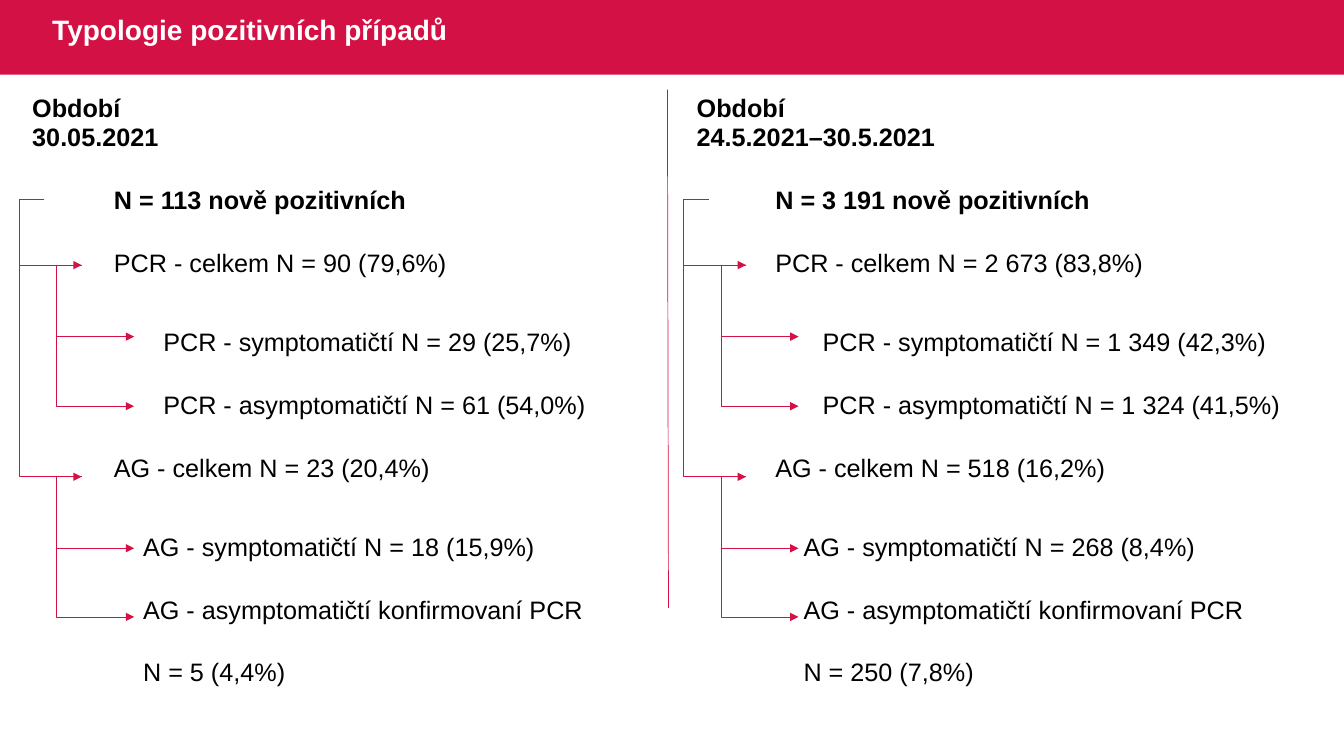
from lxml import etree
from pptx import Presentation
from pptx.dml.color import RGBColor
from pptx.enum.shapes import MSO_CONNECTOR, MSO_SHAPE
from pptx.enum.text import MSO_ANCHOR
from pptx.oxml.ns import qn
from pptx.util import Inches, Pt

STRAIGHT, ELBOW = MSO_CONNECTOR.STRAIGHT, MSO_CONNECTOR.ELBOW
RECTANGLE = MSO_SHAPE.RECTANGLE
TOP, MIDDLE, BOTTOM = MSO_ANCHOR.TOP, MSO_ANCHOR.MIDDLE, MSO_ANCHOR.BOTTOM

COLORS = {"crimson": "D31145", "text": "000000", "title": "FFFFFF"}
FONT = "Arial"
PLAIN_TABLE_STYLE = "{2D5ABB26-0587-4C30-8999-92F81FD0307C}"
TABLE_TOP, ROW_HEIGHT = 0.6, 0.622

# Column of the text, vertical anchor and bold for each table row
ROW_LAYOUT = [
    (0, BOTTOM, True), (0, TOP, True), (1, TOP, True), (1, TOP, False),
    (3, MIDDLE, False), (3, MIDDLE, False), (1, MIDDLE, False),
    (2, BOTTOM, False), (2, BOTTOM, False), (2, BOTTOM, False),
]

TOTAL_Y, PCR_Y, AG_Y = 1.98, 2.63, 4.73
TOTAL_X, GROUP_X, DETAIL_X = 0.25, 0.62, 1.14
TRUNK_X, BRANCH_X = 0, 0.37

# Start, end and vertical run of each arrow, measured from the trunk
ARROWS = [
    (TOTAL_X, TOTAL_Y, GROUP_X, AG_Y, TRUNK_X),
    (GROUP_X, PCR_Y, DETAIL_X, 3.34, BRANCH_X),
    (GROUP_X, PCR_Y, DETAIL_X, 4.03, BRANCH_X),
    (GROUP_X, AG_Y, DETAIL_X, 5.44, BRANCH_X),
    (GROUP_X, AG_Y, DETAIL_X, 6.12, BRANCH_X),
    (TOTAL_X, TOTAL_Y, GROUP_X, PCR_Y, TRUNK_X),
]

DAY = [
    "Období", "30.05.2021", "N = 113 nově pozitivních",
    "PCR - celkem N = 90 (79,6%)",
    "PCR - symptomatičtí N = 29 (25,7%)",
    "PCR - asymptomatičtí N = 61 (54,0%)",
    "AG - celkem N = 23 (20,4%)",
    "AG - symptomatičtí N = 18 (15,9%)",
    "AG - asymptomatičtí konfirmovaní PCR", "N = 5 (4,4%)",
]
WEEK = [
    "Období", "24.5.2021–30.5.2021", "N = 3 191 nově pozitivních",
    "PCR - celkem N = 2 673 (83,8%)",
    "PCR - symptomatičtí N = 1 349 (42,3%)",
    "PCR - asymptomatičtí N = 1 324 (41,5%)",
    "AG - celkem N = 518 (16,2%)",
    "AG - symptomatičtí N = 268 (8,4%)",
    "AG - asymptomatičtí konfirmovaní PCR", "N = 250 (7,8%)",
]


def rgb(name):
    """Return a named colour."""
    return RGBColor.from_string(COLORS[name])


def style_text(paragraph, size, color, bold):
    """Set the font of a whole paragraph."""
    font = paragraph.font
    font.name, font.size, font.bold = FONT, Pt(size), bold
    font.color.rgb = rgb(color)


def add_header(slide, title):
    """Draw the top bar and its title."""
    bar = slide.shapes.add_shape(RECTANGLE, 0, 0, Inches(13.33), Inches(0.74))
    bar.shadow.inherit = False
    bar.fill.solid()
    bar.fill.fore_color.rgb = rgb("crimson")
    bar.line.fill.background()
    heading = slide.shapes.add_textbox(Inches(0.42), 0, Inches(6.97), Inches(0.63))
    frame = heading.text_frame
    frame.word_wrap = True
    frame.vertical_anchor = MIDDLE
    paragraph = frame.paragraphs[0]
    paragraph.text = title
    paragraph.line_spacing = 0.9
    style_text(paragraph, 20, "title", True)


def add_line(slide, kind, start_x, start_y, end_x, end_y):
    """Draw a thin crimson connector without a shadow."""
    line = slide.shapes.add_connector(
        kind, Inches(start_x), Inches(start_y), Inches(end_x), Inches(end_y))
    line.line.color.rgb = rgb("crimson")
    line.line.width = Pt(0.5)
    etree.SubElement(line._element.spPr, qn("a:effectLst"))
    return line


def add_arrow(slide, trunk, start_x, start_y, end_x, end_y, bend_x):
    """Draw an elbow arrow whose vertical run lies left of its start."""
    arrow = add_line(slide, ELBOW, trunk + start_x, start_y, trunk + end_x, end_y)
    bend = round((bend_x - start_x) / (end_x - start_x) * 100000)
    guides = arrow._element.spPr.find(qn("a:prstGeom")).get_or_add_avLst()
    etree.SubElement(guides, qn("a:gd"), name="adj1", fmla=f"val {bend}")
    etree.SubElement(arrow.line._get_or_add_ln(), qn("a:tailEnd"), type="triangle")


def add_case_table(slide, left, widths, texts):
    """Add the indented case counts of one period."""
    table = slide.shapes.add_table(
        len(texts), len(widths), Inches(left), Inches(TABLE_TOP),
        Inches(sum(widths)), Inches(ROW_HEIGHT * len(texts))).table
    table.first_row = table.horz_banding = False
    table._tbl.tblPr.find(qn("a:tableStyleId")).text = PLAIN_TABLE_STYLE
    for column, width in zip(table.columns, widths):
        column.width = Inches(width)
    for cell in table.iter_cells():
        cell.fill.background()
    last = len(widths) - 1
    for row, (text, (indent, anchor, bold)) in enumerate(zip(texts, ROW_LAYOUT)):
        table.rows[row].height = Inches(ROW_HEIGHT)
        cell = table.cell(row, indent)
        if indent < last:
            cell.merge(table.cell(row, last))
        else:
            table.cell(row, 1).merge(table.cell(row, 2))
        cell.vertical_anchor = anchor
        cell.margin_left = cell.margin_right = cell.margin_top = Inches(0.01)
        cell.margin_bottom = 0
        cell.text = text
        style_text(cell.text_frame.paragraphs[0], 18, "text", bold)


def add_period(slide, left, widths, trunk, texts):
    """Add one period's table and its arrow tree."""
    add_case_table(slide, left, widths, texts)
    for arrow in ARROWS:
        add_arrow(slide, trunk, *arrow)


def main():
    """Build and save the slide."""
    deck = Presentation()
    deck.slide_width, deck.slide_height = Inches(13.33), Inches(7.5)
    slide = deck.slides.add_slide(deck.slide_layouts[6])
    add_header(slide, "Typologie pozitivních případů")
    add_line(slide, STRAIGHT, 6.62, 0.89, 6.63, 6.03)
    add_period(slide, 0.31, [0.81, 0.29, 0.2, 5.31], 0.19, DAY)
    add_period(slide, 6.9, [0.78, 0.28, 0.19, 5.1], 6.78, WEEK)
    deck.save("out.pptx")


if __name__ == "__main__":
    main()
